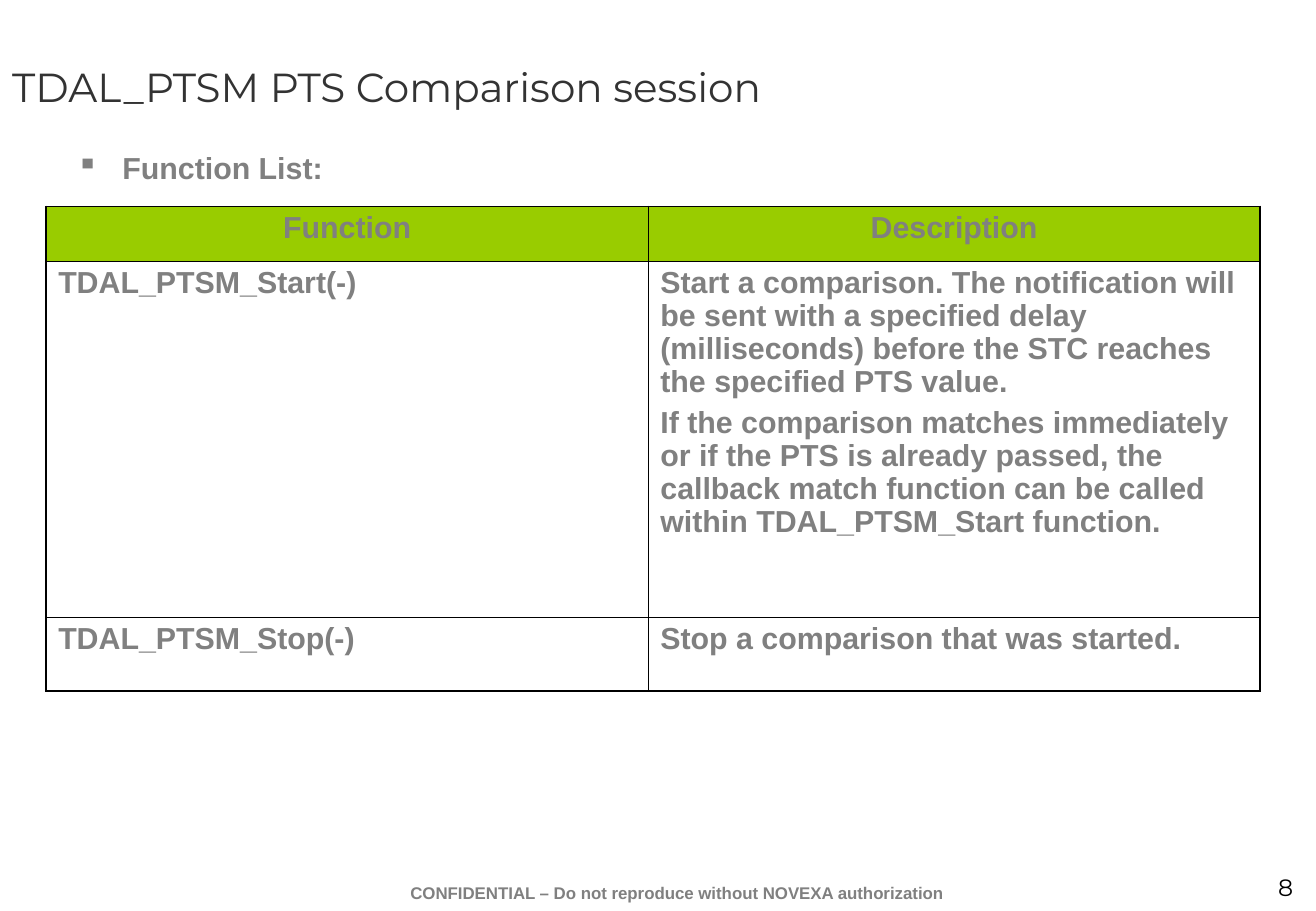
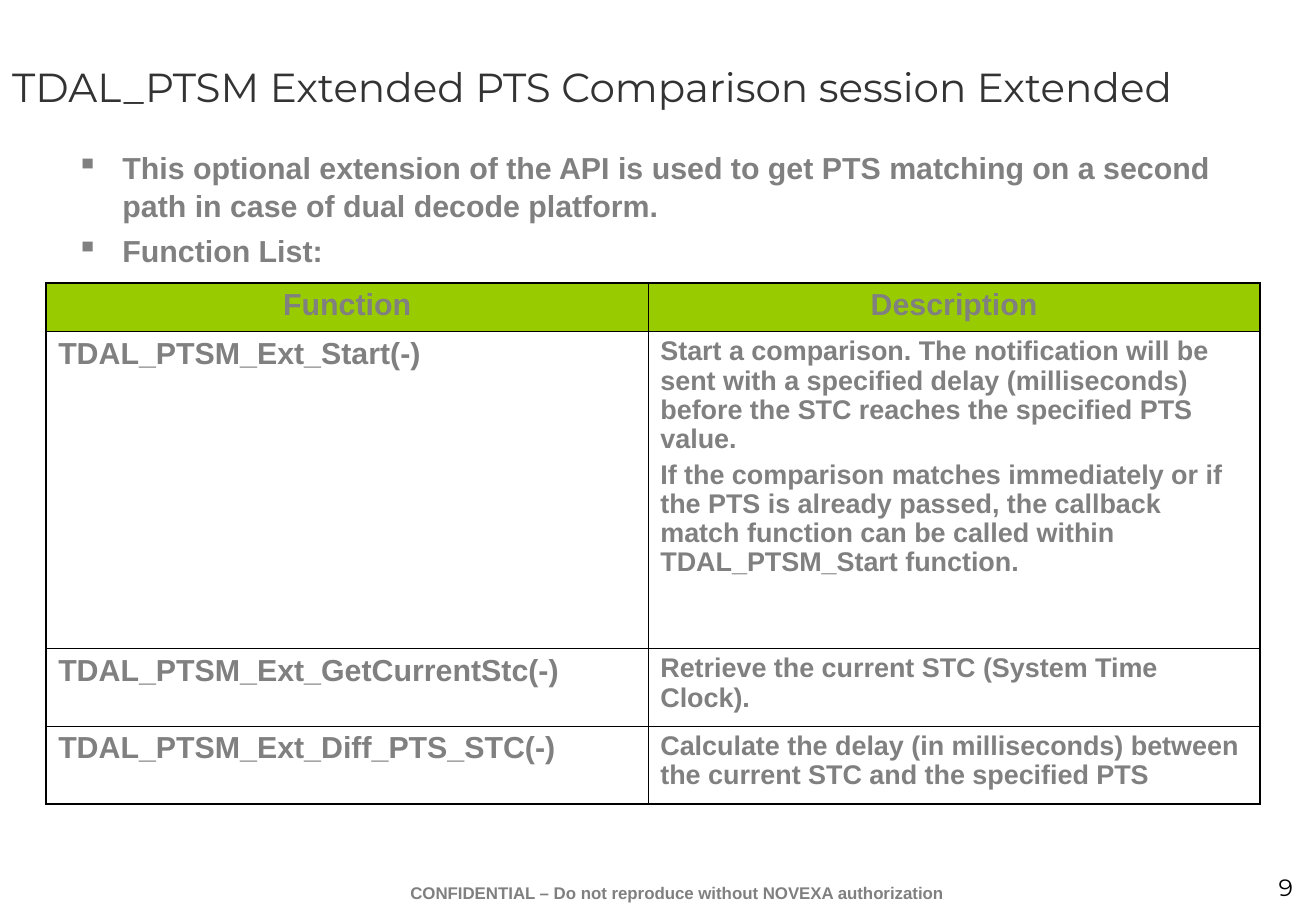
from dataclasses import dataclass

from lxml.etree import SubElement
from pptx import Presentation
from pptx.dml.color import RGBColor
from pptx.enum.text import MSO_ANCHOR, MSO_AUTO_SIZE, PP_ALIGN
from pptx.oxml.ns import qn
from pptx.presentation import Presentation as Deck
from pptx.slide import Slide
from pptx.table import _Cell
from pptx.text.text import TextFrame, _Paragraph
from pptx.util import Emu, Pt

EMU_PER_PX = 9144
TITLE_ONLY = 5


@dataclass(frozen=True)
class TextStyle:
    font: str
    size: int
    color: RGBColor
    bold: bool = False
    align: PP_ALIGN = PP_ALIGN.LEFT
    line_spacing: float = 1.0


@dataclass(frozen=True)
class Box:
    left: int
    top: int
    width: int
    height: int

    def emu(self) -> tuple[Emu, Emu, Emu, Emu]:
        return px(self.left), px(self.top), px(self.width), px(self.height)


GREY = RGBColor(0x80, 0x80, 0x80)
BLACK = RGBColor(0, 0, 0)


@dataclass(frozen=True)
class Theme:
    header_fill: RGBColor = RGBColor(0x99, 0xCC, 0x00)
    border: RGBColor = BLACK
    outer_border: float = 1.08
    inner_border: float = 0.45
    title: TextStyle = TextStyle("Montserrat", 24, RGBColor(0x33, 0x33, 0x33))
    page_number: TextStyle = TextStyle("Montserrat", 14, BLACK, align=PP_ALIGN.RIGHT)
    footer: TextStyle = TextStyle("Arial", 10, GREY, True, PP_ALIGN.CENTER)
    bullet: TextStyle = TextStyle("Arial", 18, GREY, True, line_spacing=1.03)
    header: TextStyle = TextStyle("Arial", 18, GREY, True, PP_ALIGN.CENTER, 0.97)
    cell: TextStyle = TextStyle("Arial", 18, GREY, True, line_spacing=0.97)
    small_cell: TextStyle = TextStyle("Arial", 16, GREY, True, line_spacing=0.97)


THEME = Theme()

SLIDE_WIDTH, SLIDE_HEIGHT = 1084, 750
TITLE_BOX = Box(0, 0, 1083, 142)
BULLETS_BOX = Box(53, 117, 991, 495)
FOOTER_BOX = Box(266, 722, 583, 28)
PAGE_NUMBER_BOX = Box(959, 714, 116, 33)
TABLE_LEFT = 38
COLUMN_WIDTHS = (496, 504)
BULLET_INDENT = 38
FOOTER = "CONFIDENTIAL – Do not reproduce without NOVEXA authorization"
COLUMN_TITLES = ("Function", "Description")
START_DESCRIPTION = (
    "Start a comparison. The notification will be sent with a specified delay "
    "(milliseconds) before the STC reaches the specified PTS value.",
    "If the comparison matches immediately or if the PTS is already passed, the "
    "callback match function can be called within TDAL_PTSM_Start function.",
)


@dataclass(frozen=True)
class ApiFunction:
    signature: str
    description: tuple[str, ...]
    height: int


@dataclass(frozen=True)
class ApiSlide:
    number: int
    title: str
    bullets: tuple[str, ...]
    table_top: int
    header_height: int
    description_style: TextStyle
    functions: tuple[ApiFunction, ...]


API_SLIDES = (
    ApiSlide(
        8,
        "TDAL_PTSM PTS Comparison session",
        ("Function List:",),
        170,
        45,
        THEME.cell,
        (
            ApiFunction("TDAL_PTSM_Start(-)", START_DESCRIPTION, 293),
            ApiFunction("TDAL_PTSM_Stop(-)", ("Stop a comparison that was started.",), 61),
        ),
    ),
    ApiSlide(
        9,
        "TDAL_PTSM Extended PTS Comparison session Extended",
        (
            "This optional extension of the API is used to get PTS matching on a second "
            "path in case of dual decode platform.",
            "Function List:",
        ),
        233,
        40,
        THEME.small_cell,
        (
            ApiFunction("TDAL_PTSM_Ext_Start(-)", START_DESCRIPTION, 261),
            ApiFunction(
                "TDAL_PTSM_Ext_GetCurrentStc(-)",
                ("Retrieve the current STC (System Time Clock).",),
                64,
            ),
            ApiFunction(
                "TDAL_PTSM_Ext_Diff_PTS_STC(-)",
                (
                    "Calculate the delay (in milliseconds) between the current STC "
                    "and the specified PTS",
                ),
                64,
            ),
        ),
    ),
)


def px(length: int) -> Emu:
    return Emu(length * EMU_PER_PX)


def add_bullet(paragraph: _Paragraph, color: RGBColor) -> None:
    properties = paragraph._p.get_or_add_pPr()
    properties.set("marL", str(px(BULLET_INDENT)))
    properties.set("indent", str(-px(BULLET_INDENT)))
    bullet_color = SubElement(properties, qn("a:buClr"))
    SubElement(bullet_color, qn("a:srgbClr"), val=str(color))
    SubElement(properties, qn("a:buChar"), char="▪")


def write(frame: TextFrame, lines: tuple[str, ...], style: TextStyle, bulleted: bool = False) -> None:
    frame.word_wrap = True
    for index, line in enumerate(lines):
        paragraph = frame.add_paragraph() if index else frame.paragraphs[0]
        if bulleted:
            add_bullet(paragraph, style.color)
        paragraph.alignment = style.align
        paragraph.line_spacing = style.line_spacing
        paragraph.space_before = Pt(style.size / 4 if index else 0)
        run = paragraph.add_run()
        run.text = line
        run.font.name = style.font
        run.font.size = Pt(style.size)
        run.font.bold = style.bold
        run.font.color.rgb = style.color


def add_text(slide: Slide, box: Box, lines: tuple[str, ...], style: TextStyle, bulleted: bool = False) -> None:
    write(slide.shapes.add_textbox(*box.emu()).text_frame, lines, style, bulleted)


def set_title(slide: Slide, text: str) -> None:
    title = slide.shapes.title
    title.left, title.top, title.width, title.height = TITLE_BOX.emu()
    title.text_frame.auto_size = MSO_AUTO_SIZE.NONE
    title.text_frame.vertical_anchor = MSO_ANCHOR.MIDDLE
    write(title.text_frame, (text,), THEME.title)


def set_borders(cell: _Cell, outer_sides: dict[str, bool]) -> None:
    properties = cell._tc.get_or_add_tcPr()
    for side, is_outer in outer_sides.items():
        weight = THEME.outer_border if is_outer else THEME.inner_border
        line = SubElement(properties, qn(f"a:ln{side}"), w=str(int(Pt(weight))))
        fill = SubElement(line, qn("a:solidFill"))
        SubElement(fill, qn("a:srgbClr"), val=str(THEME.border))


def add_function_table(slide: Slide, content: ApiSlide) -> None:
    heights = (content.header_height, *(function.height for function in content.functions))
    box = Box(TABLE_LEFT, content.table_top, sum(COLUMN_WIDTHS), sum(heights))
    table = slide.shapes.add_table(len(heights), len(COLUMN_WIDTHS), *box.emu()).table
    table.horz_banding = False
    for column, width in zip(table.columns, COLUMN_WIDTHS):
        column.width = px(width)
    for row, height in zip(table.rows, heights):
        row.height = px(height)

    header = tuple(((name,), THEME.header) for name in COLUMN_TITLES)
    body = tuple(
        (((function.signature,), THEME.cell), (function.description, content.description_style))
        for function in content.functions
    )
    last_row, last_column = len(heights) - 1, len(COLUMN_WIDTHS) - 1
    for r, entries in enumerate((header, *body)):
        for c, (lines, style) in enumerate(entries):
            cell = table.cell(r, c)
            set_borders(cell, {"L": c == 0, "R": c == last_column, "T": r == 0, "B": r == last_row})
            if r == 0:
                cell.fill.solid()
                cell.fill.fore_color.rgb = THEME.header_fill
            else:
                cell.fill.background()
            write(cell.text_frame, lines, style)


def add_api_slide(deck: Deck, content: ApiSlide) -> None:
    slide = deck.slides.add_slide(deck.slide_layouts[TITLE_ONLY])
    set_title(slide, content.title)
    add_text(slide, PAGE_NUMBER_BOX, (str(content.number),), THEME.page_number)
    add_text(slide, FOOTER_BOX, (FOOTER,), THEME.footer)
    add_text(slide, BULLETS_BOX, content.bullets, THEME.bullet, bulleted=True)
    add_function_table(slide, content)


def main() -> None:
    deck = Presentation()
    deck.slide_width, deck.slide_height = px(SLIDE_WIDTH), px(SLIDE_HEIGHT)
    for content in API_SLIDES:
        add_api_slide(deck, content)
    deck.save("out.pptx")


if __name__ == "__main__":
    main()
